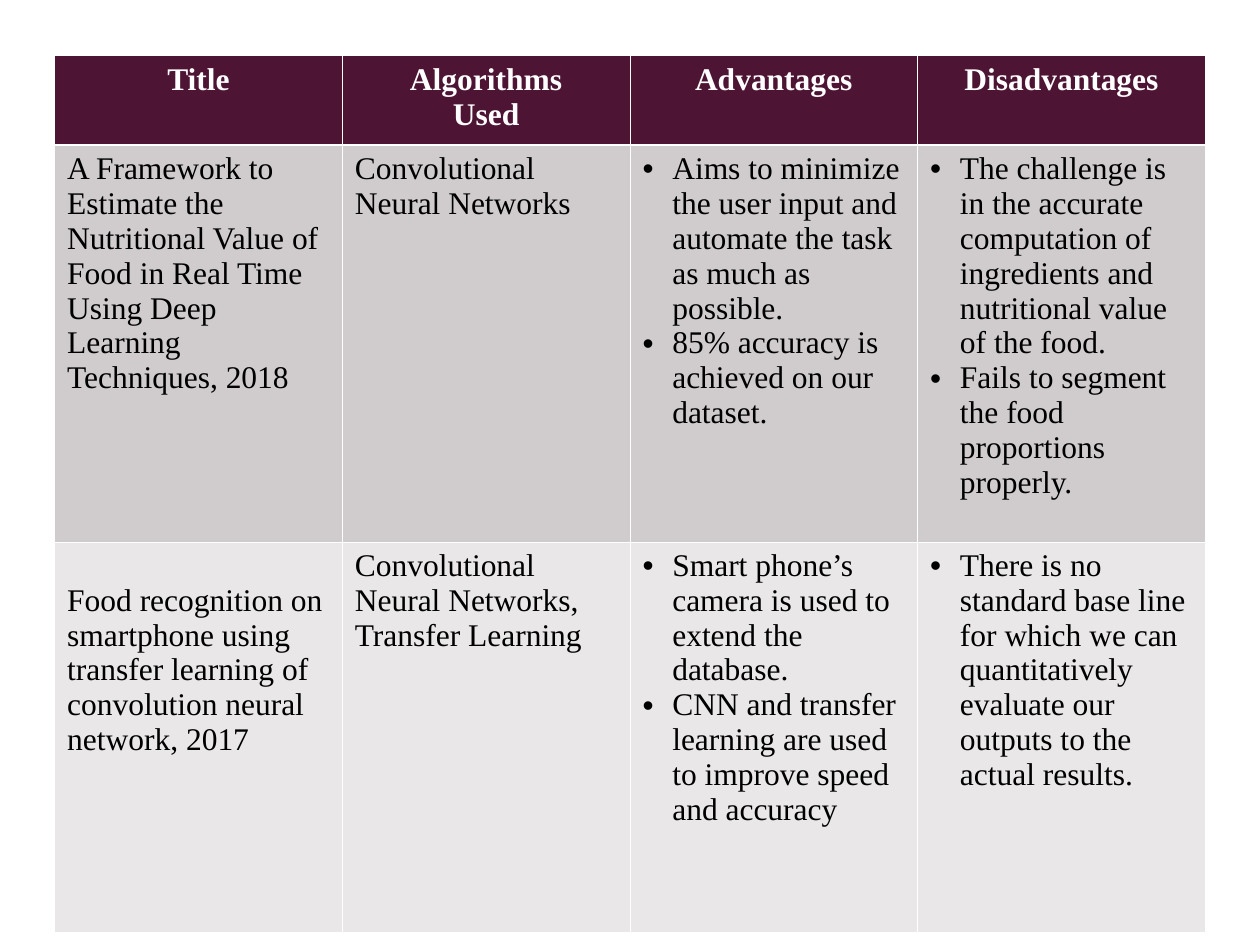
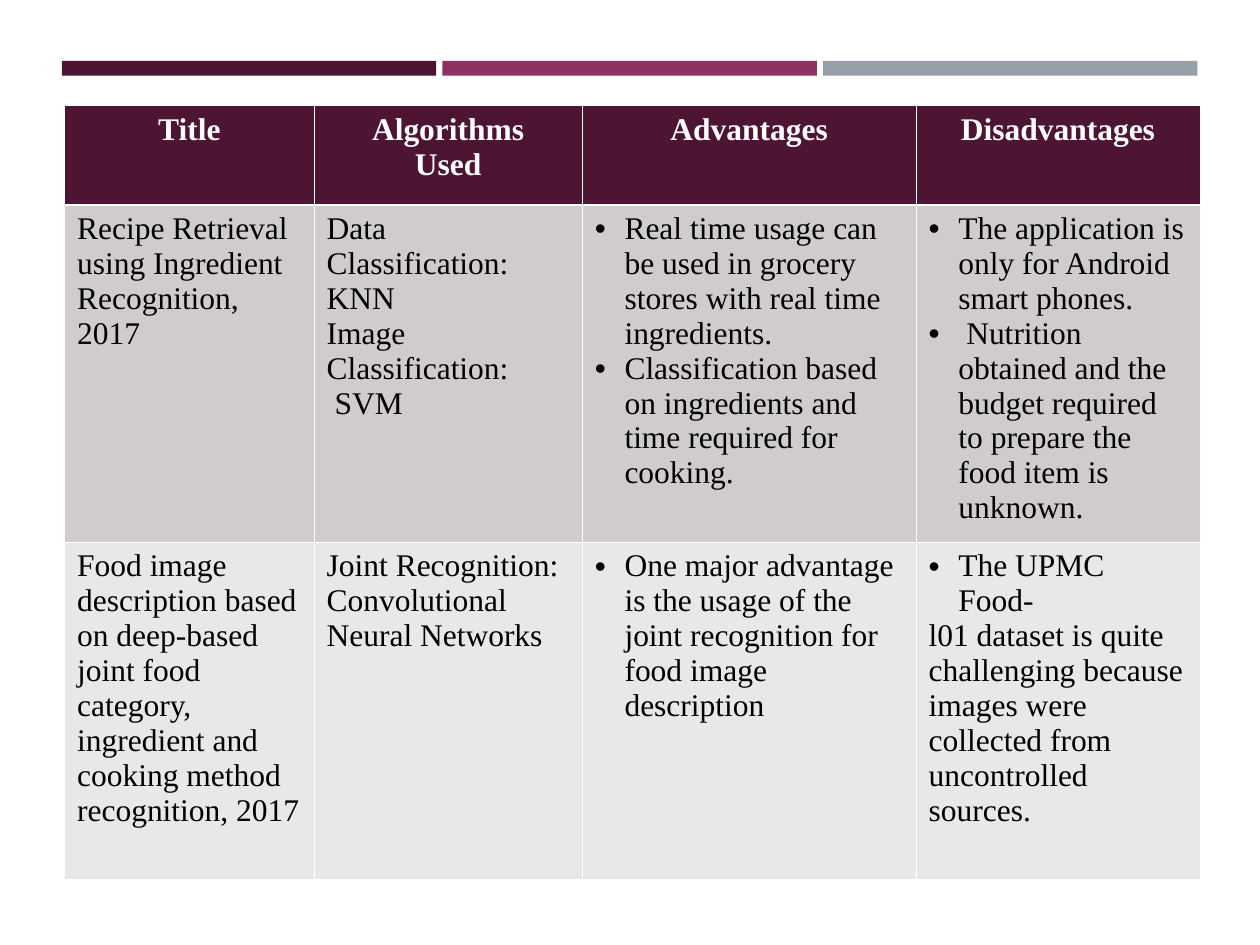
"""Build two slides of a literature survey on food recognition as tables."""
import lxml.etree
import pptx
import pptx.dml.color
import pptx.enum.shapes
import pptx.enum.text
import pptx.oxml
import pptx.oxml.ns
import pptx.util

Pt = pptx.util.Pt

HEADINGS = [["Title"], ["Algorithms", "Used"], ["Advantages"], ["Disadvantages"]]
BULLET = "• "
SURVEYS = [
    {
        "left": 31.2, "top": 31.9,
        "columns": [164.4] * 4,
        "rows": [51.1, 226.7, 223.1],
        "lowered": {(2, 0): 19.9},
        "papers": [
            [
                ["A Framework to Estimate the Nutritional Value of Food in Real Time "
                 "Using Deep Learning Techniques, 2018"],
                ["Convolutional Neural Networks"],
                ["• Aims to minimize the user input and automate the task as much as possible.",
                 "• 85% accuracy is achieved on our dataset."],
                ["• The challenge is in the accurate computation of ingredients and "
                 "nutritional value of the food.",
                 "• Fails to segment the food proportions properly."],
            ],
            [
                ["Food recognition on smartphone using transfer learning of "
                 "convolution neural network, 2017"],
                ["Convolutional Neural Networks, Transfer Learning"],
                ["• Smart phone’s camera is used to extend the database.",
                 "• CNN and transfer learning are used to improve speed and accuracy"],
                ["• There is no standard base line for which we can quantitatively "
                 "evaluate our outputs to the actual results."],
            ],
        ],
    },
    {
        "left": 36.9, "top": 60.4,
        "columns": [142.6, 153.2, 190.8, 162.2],
        "rows": [56.9, 192.7, 192.6],
        "lowered": {},
        "papers": [
            [
                ["Recipe Retrieval using Ingredient Recognition, 2017"],
                ["Data Classification: KNN", "Image Classification:", " SVM"],
                ["• Real time usage can be used in grocery stores with real time ingredients.",
                 "• Classification based on ingredients and time required for cooking."],
                ["• The application is only for Android smart phones.",
                 "•  Nutrition obtained and the budget required to prepare the food item "
                 "is unknown."],
            ],
            [
                ["Food image description based on deep-based joint food category,",
                 "ingredient and cooking method recognition, 2017"],
                ["Joint Recognition:", "Convolutional Neural Networks"],
                ["• One major advantage is the usage of the joint recognition for food "
                 "image description"],
                ["• The UPMC Food-",
                 "l01 dataset is quite challenging because images were collected from "
                 "uncontrolled sources."],
            ],
        ],
    },
]

FONT, TEXT_SIZE = "Times New Roman", 18
WHITE, BLACK = "FFFFFF", "000000"
ROW_FILLS = ["4D1434", "D0CCCD", "E9E7E8"]
BAND_FILLS = ["4D1434", "903163", "969FA7"]
BAND_LEFT, BAND_TOP, BAND_WIDTH, BAND_HEIGHT, BAND_STEP = 35.3, 34.8, 214, 8.4, 217.5
CELL_MARGIN, BULLET_INDENT = 3.6, 17
THIN, THICK = 0.45, 1.47


def color(value):
    return pptx.dml.color.RGBColor.from_string(value)


def add_bands(page):
    for index, fill in enumerate(BAND_FILLS):
        band = page.shapes.add_shape(
            pptx.enum.shapes.MSO_SHAPE.RECTANGLE, Pt(BAND_LEFT + index * BAND_STEP),
            Pt(BAND_TOP), Pt(BAND_WIDTH), Pt(BAND_HEIGHT))
        band.shadow.inherit = False
        band.fill.solid()
        band.fill.fore_color.rgb = color(fill)
        band.line.fill.background()


def set_borders(cell, row_index):
    widths = {"lnL": THIN, "lnR": THIN,
              "lnT": THICK if row_index == 1 else THIN,
              "lnB": THICK if row_index == 0 else THIN}
    properties = cell._tc.get_or_add_tcPr()
    for position, (side, width) in enumerate(widths.items()):
        border = pptx.oxml.parse_xml(
            f'<a:{side} {pptx.oxml.ns.nsdecls("a")} w="{Pt(width)}"><a:solidFill>'
            f'<a:srgbClr val="{WHITE}"/></a:solidFill></a:{side}>')
        properties.insert(position, border)


def add_bullet(para):
    properties = para._p.get_or_add_pPr()
    properties.set("marL", str(Pt(BULLET_INDENT)))
    properties.set("indent", str(-Pt(BULLET_INDENT)))
    tint = lxml.etree.SubElement(properties, pptx.oxml.ns.qn("a:buClr"))
    lxml.etree.SubElement(tint, pptx.oxml.ns.qn("a:srgbClr"), val=BLACK)
    lxml.etree.SubElement(properties, pptx.oxml.ns.qn("a:buFont"), typeface="Arial")
    lxml.etree.SubElement(properties, pptx.oxml.ns.qn("a:buChar"), char=BULLET.strip())


def fill_cell(cell, lines, row_index):
    is_heading = row_index == 0
    cell.fill.solid()
    cell.fill.fore_color.rgb = color(ROW_FILLS[row_index])
    set_borders(cell, row_index)
    frame = cell.text_frame
    for index, line in enumerate(lines):
        para = frame.add_paragraph() if index else frame.paragraphs[0]
        para.text = line.removeprefix(BULLET)
        if line.startswith(BULLET):
            add_bullet(para)
        if is_heading:
            para.alignment = pptx.enum.text.PP_ALIGN.CENTER
        para.font.name = FONT
        para.font.size = Pt(TEXT_SIZE)
        para.font.bold = is_heading
        para.font.color.rgb = color(WHITE if is_heading else BLACK)


def add_survey(page, survey):
    rows, columns = survey["rows"], survey["columns"]
    table = page.shapes.add_table(
        len(rows), len(columns), Pt(survey["left"]), Pt(survey["top"]),
        Pt(sum(columns)), Pt(sum(rows))).table
    table.horz_banding = False
    for column, width in zip(table.columns, columns):
        column.width = Pt(width)
    for row_index, content in enumerate([HEADINGS] + survey["papers"]):
        table.rows[row_index].height = Pt(rows[row_index])
        for column_index, lines in enumerate(content):
            fill_cell(table.cell(row_index, column_index), lines, row_index)
    for position, offset in survey["lowered"].items():
        table.cell(*position).margin_top = Pt(CELL_MARGIN + offset)


def main():
    deck = pptx.Presentation()
    deck.slide_width, deck.slide_height = Pt(720), Pt(540)
    for survey in SURVEYS:
        page = deck.slides.add_slide(deck.slide_layouts[6])
        add_bands(page)
        add_survey(page, survey)
    deck.save("out.pptx")


if __name__ == "__main__":
    main()
